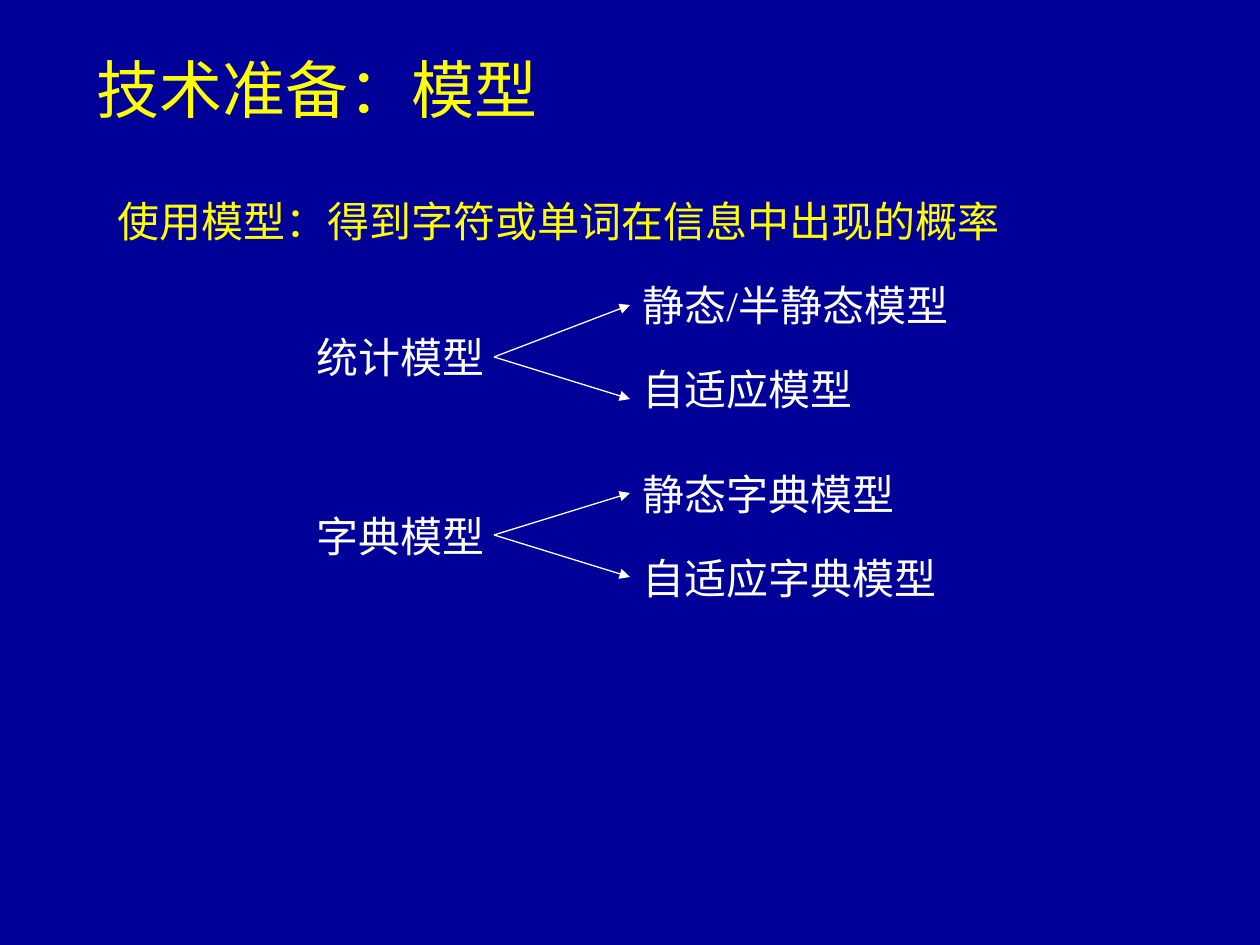
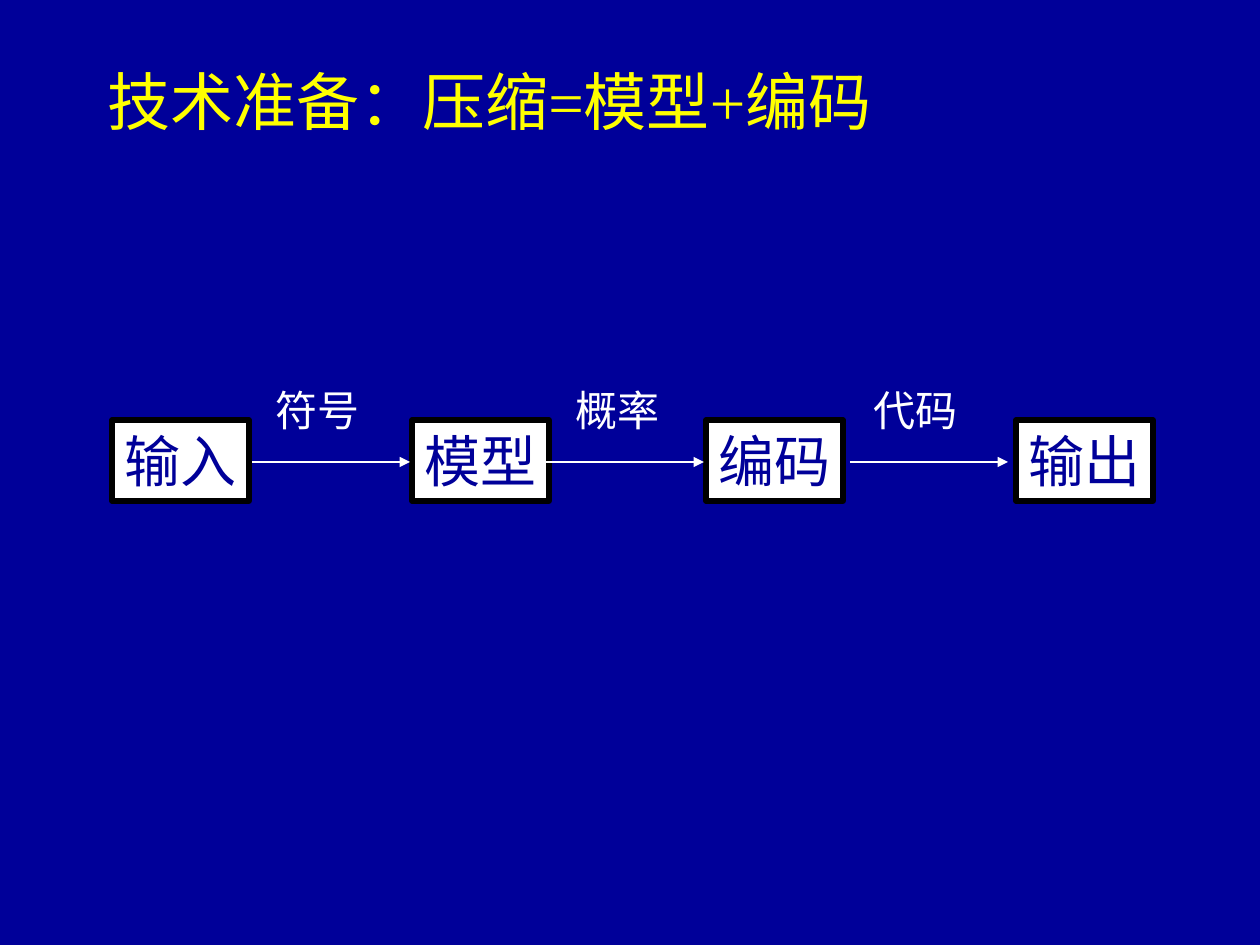
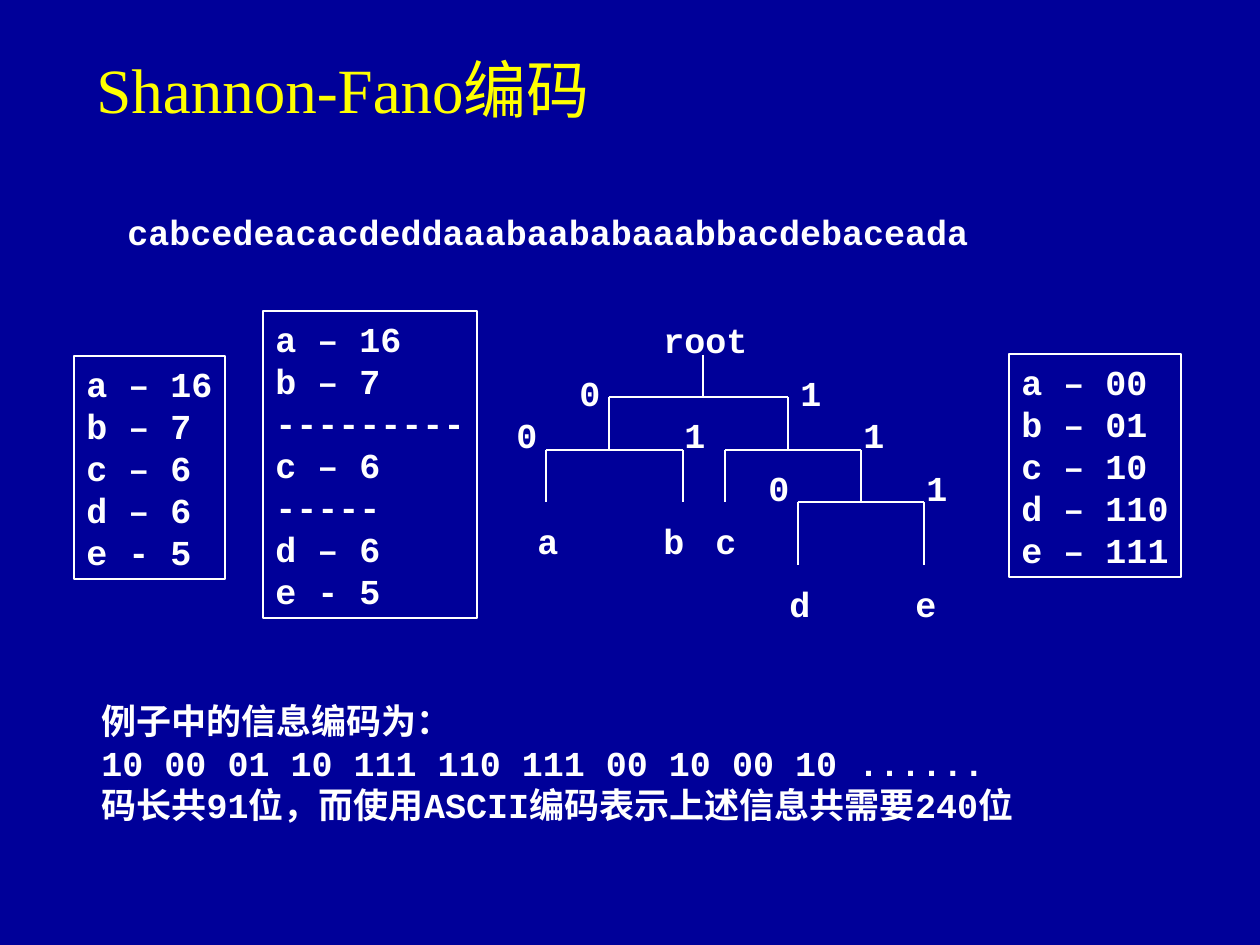
from pptx import Presentation
from pptx.dml.color import RGBColor as RGB
from pptx.enum.shapes import MSO_SHAPE as SHAPE, MSO_CONNECTOR as CONN
from pptx.enum.text import MSO_ANCHOR as ANCHOR, PP_ALIGN as ALIGN
from pptx.oxml.ns import qn
from pptx.util import Pt
from lxml import etree

NAVY = RGB(0x00, 0x00, 0x99)
YELLOW = RGB(0xFF, 0xFF, 0x00)
WHITE = RGB(0xFF, 0xFF, 0xFF)
BLACK = RGB(0x00, 0x00, 0x00)
SERIF, MONO = "Times New Roman", "Courier New"
SCALE = 914400 / 126  # EMU in one pixel

deck = Presentation()
deck.slide_width, deck.slide_height = round(1260 * SCALE), round(945 * SCALE)


def write(slide, text, x, y, w, h, size=24, color=WHITE, font=SERIF,
          wrap=True, mid=False, fill=None, edge=None, thick=0.74):
    """Add text, inside a rectangle when an edge colour is given."""
    box = [round(v * SCALE) for v in (x, y, w, h)]
    if edge is None:
        shape = slide.shapes.add_textbox(*box)
    else:
        shape = slide.shapes.add_shape(SHAPE.RECTANGLE, *box)
        shape.shadow.inherit = False
        shape.line.color.rgb, shape.line.width = edge, Pt(thick)
        if fill is None:
            shape.fill.background()
        else:
            shape.fill.solid()
            shape.fill.fore_color.rgb = fill
    frame = shape.text_frame
    frame.text = text
    frame.word_wrap = wrap
    frame.vertical_anchor = ANCHOR.MIDDLE if mid else ANCHOR.TOP
    for para in frame.paragraphs:
        para.alignment = ALIGN.LEFT
        para.line_spacing = Pt(size * 1.2)
        for run in para.runs:
            run.font.size, run.font.name = Pt(size), font
            run.font.bold = font == MONO
            run.font.color.rgb = color


def link(slide, x1, y1, x2, y2, arrow=False):
    """Draw a thin white line, with an arrowhead at its end if asked."""
    ends = [round(v * SCALE) for v in (x1, y1, x2, y2)]
    line = slide.shapes.add_connector(CONN.STRAIGHT, *ends)
    line.line.color.rgb, line.line.width = WHITE, Pt(0.74)
    if arrow:
        etree.SubElement(line.line._get_or_add_ln(), qn("a:tailEnd"), type="triangle")
    etree.SubElement(line._element.spPr, qn("a:effectLst"))


# Slides with background and title: text, left, width, height
titles = [
    ("技术准备：模型", 84, 777, 71),
    ("技术准备：压缩=模型+编码", 95, 1071, 95),
    ("Shannon-Fano编码", 84, 735, 71),
]
slides = []
for text, x, w, h in titles:
    slide = deck.slides.add_slide(deck.slide_layouts[6])
    slide.background.fill.solid()
    slide.background.fill.fore_color.rgb = NAVY
    write(slide, text, x, 53, w, h, 36, YELLOW, mid=True)
    slides.append(slide)
models, flow, coding = slides

# Slide 1: two kinds of model, each with two branches
write(models, "使用模型：得到字符或单词在信息中出现的概率", 105, 189, 1008, 63, color=YELLOW)
kinds = [
    ("统计模型", 325, 357, [("静态/半静态模型", 273, 305), ("自适应模型", 357, 399)]),
    ("字典模型", 504, 535, [("静态字典模型", 462, 493), ("自适应字典模型", 546, 577)]),
]
for kind, y, fork, parts in kinds:
    write(models, kind, 304, y, 273, 63)
    for part, top, tip in parts:
        write(models, part, 630, top, 450, 63)
        link(models, 494, fork, 630, tip, arrow=True)

# Slide 2: chain of steps, with what passes between them
for step, x in [("输入", 112), ("模型", 412), ("编码", 706), ("输出", 1016)]:
    write(flow, step, x, 420, 137, 81, 32, NAVY, wrap=False,
          fill=WHITE, edge=BLACK, thick=3)
for label, x, start in [("符号", 263, 252), ("概率", 563, 546), ("代码", 861, 850)]:
    link(flow, start, 462, start + 158, 462, arrow=True)
    write(flow, label, x, 378, 116, 63)

# Slide 3: message, counts and codes
code = dict(size=20, font=MONO)
write(coding, "cabcedeacacdeddaaabaababaaabbacdebaceada", 115, 204, 888, 55, **code)
tables = [
    ("a – 16\nb – 7\nc – 6\nd – 6\ne - 5", 74, 356, 151, 223),
    ("a – 16\nb – 7\n---------\nc – 6\n-----\nd – 6\ne - 5", 263, 311, 214, 307),
    ("a – 00\nb – 01\nc – 10\nd – 110\ne – 111", 1009, 354, 172, 223),
]
for text, *box in tables:
    write(coding, text, *box, wrap=False, edge=WHITE, **code)
write(coding, "例子中的信息编码为：\n"
      "10 00 01 10 111 110 111 00 10 00 10 ......\n"
      "码长共91位，而使用ASCII编码表示上述信息共需要240位",
      89, 693, 1000, 139, **code)

# Code tree: each fork has a bar from left to right and two legs down
link(coding, 703, 355, 703, 397)
forks = [(609, 788, 397, 450), (546, 683, 450, 502),
         (725, 861, 450, 502), (798, 924, 502, 565)]
for left, right, y, foot in forks:
    link(coding, left, y, right, y)
    for x in (left, right):
        link(coding, x, y, x, foot)
marks = [
    ("root", 651, 312), ("0", 567, 365), ("1", 788, 365),
    ("0", 504, 407), ("1", 672, 407), ("1", 851, 407),
    ("0", 756, 460), ("1", 914, 460),
    ("a", 525, 513), ("b", 651, 513), ("c", 703, 513),
    ("d", 777, 576), ("e", 903, 576),
]
for mark, x, y in marks:
    write(coding, mark, x, y, 158 if mark == "root" else 84, 55, **code)

deck.save("out.pptx")
